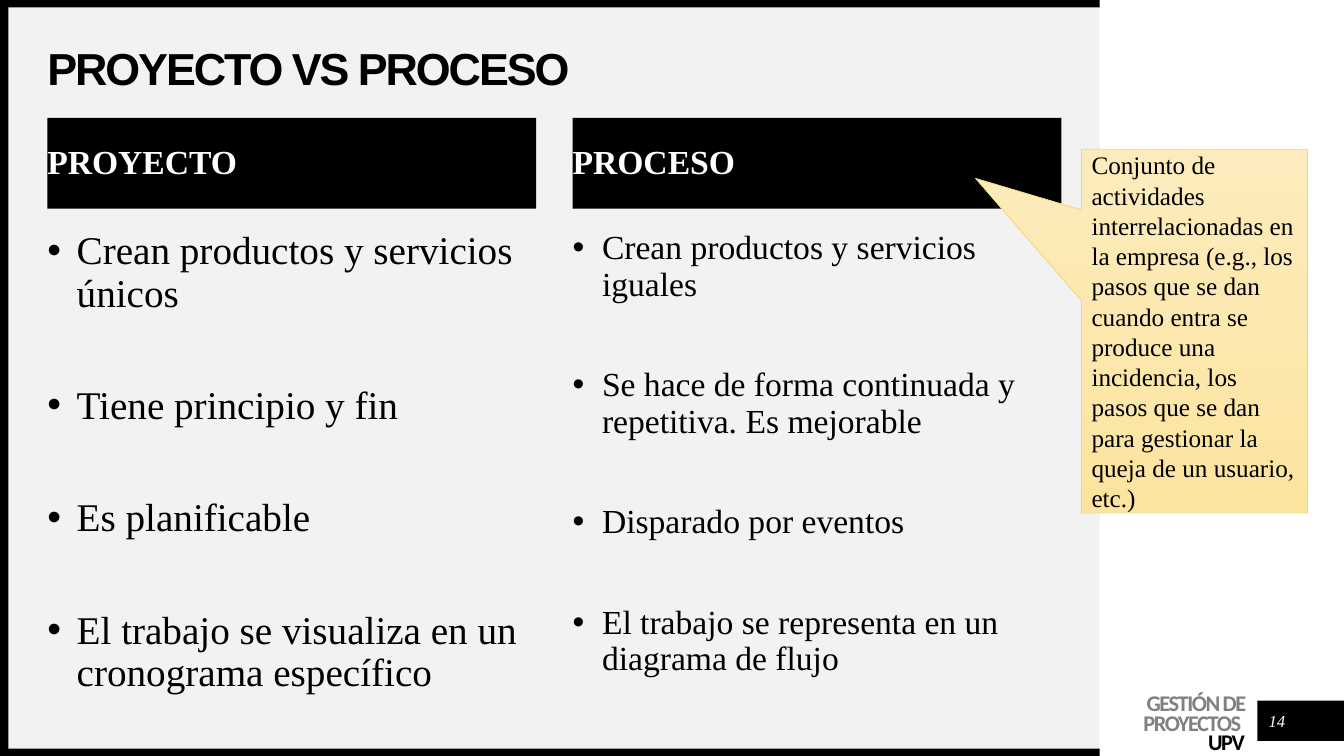
from dataclasses import dataclass
from lxml.etree import SubElement
from pptx import Presentation
from pptx.dml.color import RGBColor
from pptx.enum.shapes import MSO_SHAPE
from pptx.enum.text import MSO_ANCHOR, MSO_AUTO_SIZE, PP_ALIGN
from pptx.oxml.ns import qn
from pptx.util import Pt

TITLE = "PROYECTO VS PROCESO"
COLUMNS = [
    ("PROYECTO", 28, [
        "Crean productos y servicios únicos",
        "Tiene principio y fin",
        "Es planificable",
        "El trabajo se visualiza en un cronograma específico",
    ]),
    ("PROCESO", 24, [
        "Crean productos y servicios iguales",
        "Se hace de forma continuada y repetitiva. Es mejorable",
        "Disparado por eventos",
        "El trabajo se representa en un diagrama de flujo",
    ]),
]
CALLOUT = (
    "Conjunto de actividades interrelacionadas en la empresa (e.g., los pasos "
    "que se dan cuando entra se produce una incidencia, los pasos que se dan "
    "para gestionar la queja de un usuario, etc.)"
)
FOOTER = [("GESTIÓN DE PROYECTOS ", "808080"), ("UPV", "000000")]
PAGE = "14"


@dataclass(frozen=True)
class Theme:
    black: str = "000000"
    white: str = "FFFFFF"
    panel: str = "F2F2F2"
    note_top: str = "FCEBBD"
    note_bottom: str = "FCE49F"
    note_line: str = "F5D66E"
    head_font: str = "Arial"
    body_font: str = "Times New Roman"
    foot_font: str = "Calibri"
    title: int = 32
    header: int = 24
    note: int = 18
    footer: int = 16
    page: int = 12


T = Theme()
WIDTH, HEIGHT = 960, 540
PANEL_RIGHT, FRAME = 785.6, 5.3
LEFT, COL_W, COL_STEP = 33.8, 349.2, 375.2
INDENT = 21


def rgb(value):
    return RGBColor.from_string(value)


def add_block(s, box, color, kind=MSO_SHAPE.RECTANGLE):
    sp = s.shapes.add_shape(kind, *map(Pt, box))
    sp.shadow.inherit = False
    sp.fill.solid()
    sp.fill.fore_color.rgb = rgb(color)
    sp.line.fill.background()
    return sp


def add_text(s, box):
    return s.shapes.add_textbox(*map(Pt, box))


def set_frame(sp, anchor=MSO_ANCHOR.MIDDLE, insets=(0, 0, 0, 0)):
    tf = sp.text_frame
    tf.word_wrap = True
    tf.auto_size = MSO_AUTO_SIZE.NONE
    tf.vertical_anchor = anchor
    tf.margin_left, tf.margin_top, tf.margin_right, tf.margin_bottom = map(Pt, insets)
    return tf


def write(p, text, font, size, color, bold=False, italic=False, track=0,
          align=PP_ALIGN.LEFT, leading=None):
    p.text = text
    p.alignment = align
    p.line_spacing = leading
    for r in p.runs:
        r.font.name, r.font.size = font, Pt(size)
        r.font.bold, r.font.italic = bold, italic
        r.font.color.rgb = rgb(color)
        if track:
            r._r.get_or_add_rPr().set("spc", str(int(track * 100)))


def add_bullet(p):
    pPr = p._p.get_or_add_pPr()
    pPr.set("marL", str(Pt(INDENT)))
    pPr.set("indent", str(-Pt(INDENT)))
    SubElement(pPr, qn("a:buFont")).set("typeface", T.head_font)
    SubElement(pPr, qn("a:buChar")).set("char", "•")


def add_frame(s):
    add_block(s, (0, 0, PANEL_RIGHT, HEIGHT), T.panel)
    for box in [
        (0, HEIGHT - FRAME, PANEL_RIGHT, FRAME),
        (0, 0, PANEL_RIGHT, FRAME),
        (0, 0, 6, HEIGHT),
    ]:
        add_block(s, box, T.black)


def add_column(s, i, header, size, items):
    left = LEFT + i * COL_STEP
    tf = set_frame(add_block(s, (left, 84.2, COL_W, 64.8), T.black))
    write(tf.paragraphs[0], header, T.body_font, T.header, T.white, bold=True, leading=0.9)
    tf = set_frame(add_text(s, (left, 164.9, COL_W, 322.6)), MSO_ANCHOR.TOP)
    for n, item in enumerate(items):
        p = tf.add_paragraph() if n else tf.paragraphs[0]
        add_bullet(p)
        write(p, item, T.body_font, size, T.black, leading=0.9)
        if n:
            p.space_before = Pt(round(20 + 1.07 * size))


def add_callout(s):
    sp = add_block(s, (772.6, 106.6, 161.3, 259.9), T.note_top,
                   MSO_SHAPE.RECTANGULAR_CALLOUT)
    sp.adjustments[0], sp.adjustments[1] = -0.97, -0.42
    sp.fill.gradient()
    sp.fill.gradient_angle = 270
    for stop, color in zip(sp.fill.gradient_stops, (T.note_top, T.note_bottom)):
        stop.color.rgb = rgb(color)
    for stop, position in zip(sp.fill.gradient_stops, (0, 1)):
        stop.position = position
    sp.line.color.rgb = rgb(T.note_line)
    sp.line.width = Pt(0.5)
    tf = set_frame(sp, insets=(7.2, 3.6, 7.2, 3.6))
    write(tf.paragraphs[0], CALLOUT, T.body_font, T.note, T.black)


def add_footer(s):
    tf = set_frame(add_text(s, (758.2, 494.6, 131, 46)), MSO_ANCHOR.TOP, (0, 2.9, 0, 0))
    for n, (text, color) in enumerate(FOOTER):
        p = tf.add_paragraph() if n else tf.paragraphs[0]
        write(p, text, T.foot_font, T.footer, color, bold=True, track=-1,
              align=PP_ALIGN.RIGHT, leading=Pt(14))
    add_block(s, (898.2, 500.4, WIDTH - 898.2, 28.8), T.black)
    tf = set_frame(add_text(s, (901.4, 504, 21.6, 21.6)))
    write(tf.paragraphs[0], PAGE, T.body_font, T.page, T.white, italic=True,
          align=PP_ALIGN.CENTER)


def add_title(s):
    sp = s.shapes.title
    sp.left, sp.top, sp.width, sp.height = map(Pt, (LEFT, 33.8, 724.3, 33.8))
    s.shapes._spTree.append(sp._element)
    tf = set_frame(sp)
    write(tf.paragraphs[0], TITLE, T.head_font, T.title, T.black, bold=True,
          track=-1.5, leading=0.9)


def main():
    prs = Presentation()
    prs.slide_width, prs.slide_height = Pt(WIDTH), Pt(HEIGHT)
    s = prs.slides.add_slide(prs.slide_layouts[5])
    add_frame(s)
    add_title(s)
    for i, column in enumerate(COLUMNS):
        add_column(s, i, *column)
    add_callout(s)
    add_footer(s)
    prs.save("out.pptx")


if __name__ == "__main__":
    main()
